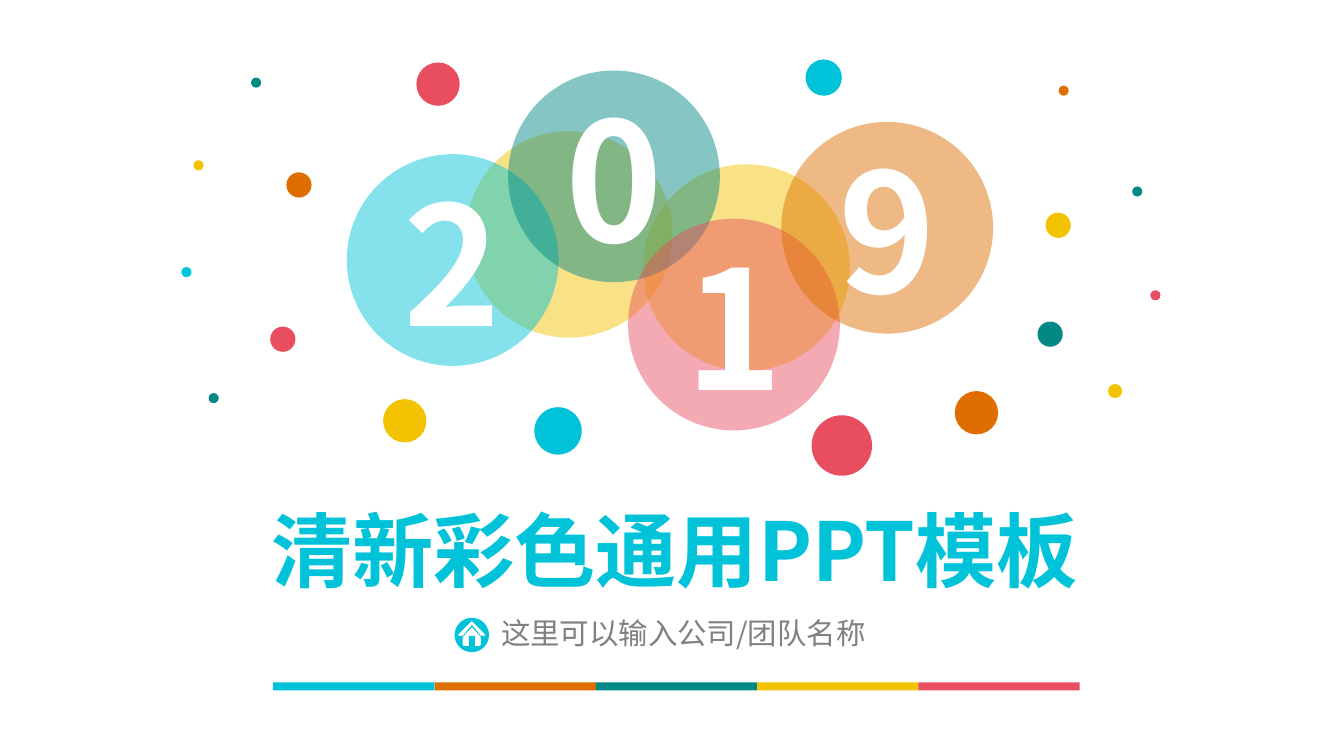
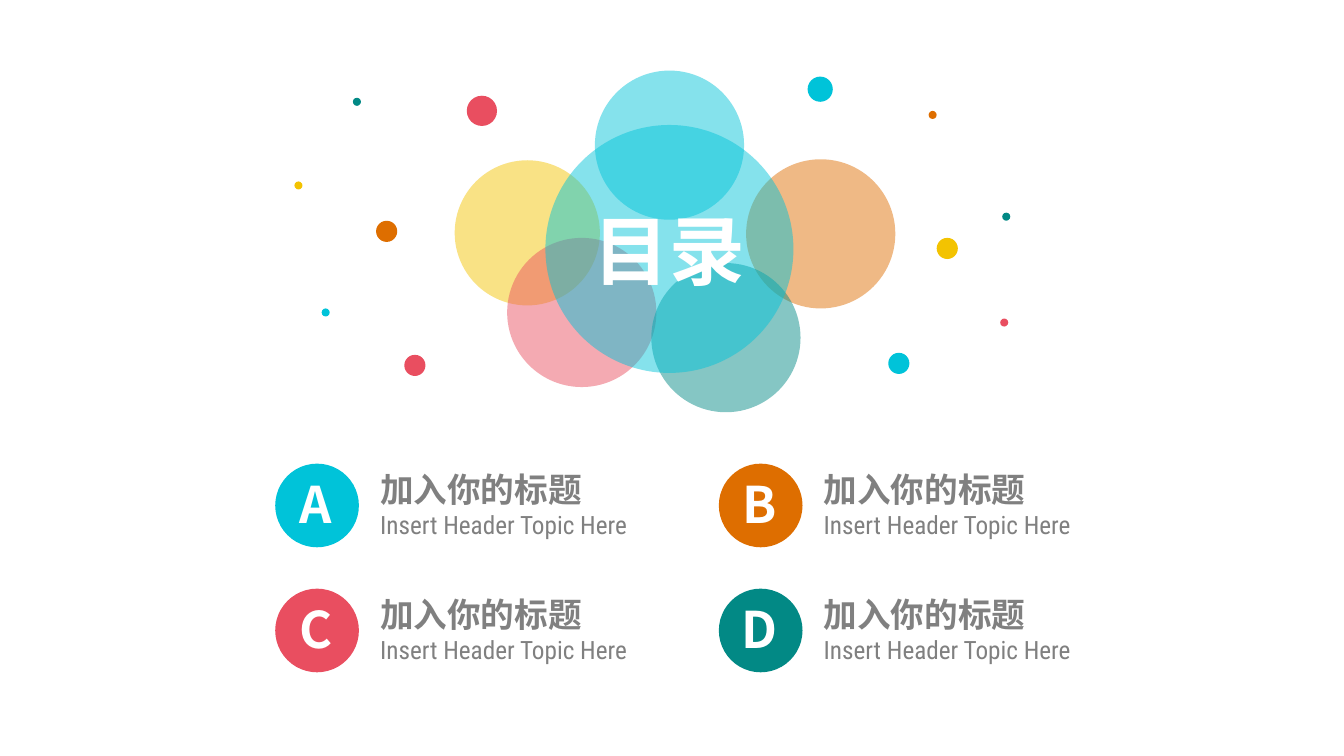
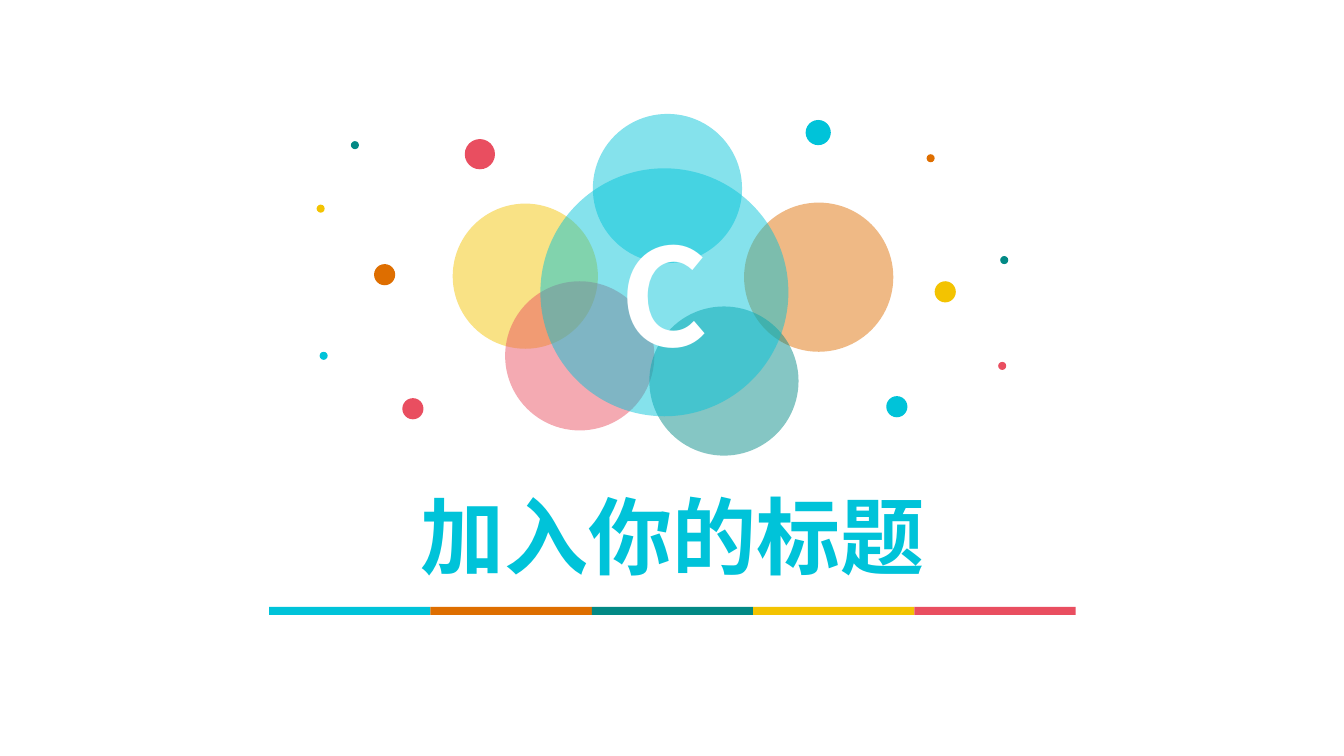
from math import cos, pi, sin

from lxml import etree
from pptx import Presentation
from pptx.dml.color import RGBColor
from pptx.enum.shapes import MSO_SHAPE
from pptx.enum.text import MSO_ANCHOR, MSO_AUTO_SIZE, PP_ALIGN
from pptx.oxml.ns import qn
from pptx.util import Inches, Pt

OVAL = MSO_SHAPE.OVAL
RECTANGLE = MSO_SHAPE.RECTANGLE
MIDDLE = MSO_ANCHOR.MIDDLE
TOP = MSO_ANCHOR.TOP
FIXED_SIZE = MSO_AUTO_SIZE.NONE
CENTER = PP_ALIGN.CENTER
LEFT = PP_ALIGN.LEFT

CYAN = RGBColor(0x00, 0xC3, 0xD9)
ORANGE = RGBColor(0xDE, 0x6E, 0x00)
GREEN = RGBColor(0x02, 0x89, 0x85)
YELLOW = RGBColor(0xF3, 0xC3, 0x01)
RED = RGBColor(0xE9, 0x4E, 0x60)
GRAY = RGBColor(0x80, 0x80, 0x80)
WHITE = RGBColor(0xFF, 0xFF, 0xFF)

MAIN_FONT = "Noto Sans CJK SC"
LATIN_FONT = "Roboto Condensed"
TITLE_LAYOUT = 0
TITLE_ONLY_LAYOUT = 5
BUBBLE_OPACITY = 48

CLUSTER_BUBBLES = [
    (4.51, 1.59, 1.44, YELLOW),
    (5.03, 2.36, 1.48, RED),
    (5.9, 0.7, 1.48, CYAN),
    (7.4, 1.58, 1.48, ORANGE),
    (6.46, 2.61, 1.48, GREEN),
]
CLUSTER_DOTS = [
    (8.01, 0.76, 0.25, CYAN),
    (4.63, 0.95, 0.3, RED),
    (3.73, 2.19, 0.21, ORANGE),
    (3.5, 0.97, 0.08, GREEN),
    (4.01, 3.52, 0.21, RED),
    (3.19, 3.06, 0.08, CYAN),
    (9.29, 2.36, 0.21, YELLOW),
    (9.21, 1.1, 0.08, ORANGE),
    (9.94, 2.11, 0.08, GREEN),
    (8.81, 3.5, 0.21, CYAN),
    (9.92, 3.16, 0.08, RED),
]


def write(paragraph, text, size, color, bold=False, font=MAIN_FONT, align=LEFT):
    paragraph.alignment = align
    paragraph.space_before = Pt(0)
    run = paragraph.add_run()
    run.text = text
    run.font.size = Pt(size)
    run.font.bold = bold
    run.font.color.rgb = color
    run.font.name = font
    run.font.language_id = None
    east_asian = etree.SubElement(run.font._element, qn("a:ea"))
    east_asian.set("typeface", font)


class Deck:
    def __init__(self):
        self.presentation = Presentation()
        self.presentation.slide_width = Inches(13.33)
        self.presentation.slide_height = Inches(7.5)
        self.slide = None

    def add_slide(self, layout):
        layouts = self.presentation.slide_layouts
        self.slide = self.presentation.slides.add_slide(layouts[layout])

    def place(self, shape, left, top, width, height):
        shape.left, shape.top = Inches(left), Inches(top)
        shape.width, shape.height = Inches(width), Inches(height)

    def frame(self, shape, anchor, insets=(0.1, 0.05, 0.1, 0.05)):
        frame = shape.text_frame
        frame.word_wrap = True
        frame.auto_size = FIXED_SIZE
        frame.vertical_anchor = anchor
        (frame.margin_left, frame.margin_top,
         frame.margin_right, frame.margin_bottom) = map(Inches, insets)
        return frame

    def paint(self, shape, color):
        shape.shadow.inherit = False
        shape.fill.solid()
        shape.fill.fore_color.rgb = color
        shape.line.fill.background()

    def block(self, kind, left, top, width, height, color):
        shape = self.slide.shapes.add_shape(
            kind, Inches(left), Inches(top), Inches(width), Inches(height))
        self.paint(shape, color)
        return shape

    def dot(self, left, top, diameter, color):
        return self.block(OVAL, left, top, diameter, diameter, color)

    def bubble(self, left, top, diameter, color, text=None, size=None):
        shape = self.dot(left, top, diameter, color)
        fill_color = shape.element.spPr.find(f"{qn('a:solidFill')}/{qn('a:srgbClr')}")
        alpha = etree.SubElement(fill_color, qn("a:alpha"))
        alpha.set("val", str(BUBBLE_OPACITY * 1000))
        if text:
            frame = self.frame(shape, MIDDLE)
            write(frame.paragraphs[0], text, size, WHITE, bold=True, align=CENTER)

    def title(self, text, left, top, width, height, size, color=CYAN):
        title = self.slide.shapes.title
        self.place(title, left, top, width, height)
        frame = self.frame(title, MIDDLE)
        write(frame.paragraphs[0], text, size, color, bold=True, align=CENTER)
        self.slide.shapes.element.append(title.element)

    def subtitle(self, text, left, top, width, height):
        subtitle = self.slide.placeholders[1]
        self.place(subtitle, left, top, width, height)
        frame = self.frame(subtitle, MIDDLE, (0.07, 0.04, 0.07, 0.04))
        write(frame.paragraphs[0], text, 21, GRAY)

    def text_box(self, left, top, width, height, insets=(0.1, 0.05, 0.1, 0.05)):
        box = self.slide.shapes.add_textbox(
            Inches(left), Inches(top), Inches(width), Inches(height))
        return self.frame(box, TOP, insets)

    def stripe(self, left, top):
        for index, color in enumerate([CYAN, ORANGE, GREEN, YELLOW, RED]):
            self.block(RECTANGLE, left + 1.6 * index, top, 1.6, 0.08, color)

    def cluster(self, shift_x, shift_y):
        for left, top, diameter, color in CLUSTER_BUBBLES:
            self.bubble(left + shift_x, top + shift_y, diameter, color)
        for left, top, diameter, color in CLUSTER_DOTS:
            self.dot(left + shift_x, top + shift_y, diameter, color)

    def home_icon(self, center_x, center_y, radius):
        steps = 60
        disc = [(radius * cos(2 * pi * step / steps), radius * sin(2 * pi * step / steps))
                for step in range(steps)]
        roof = [(0, -0.14), (0.14, 0), (0.12, 0.01), (0.09, 0.01),
                (0, -0.1), (-0.09, 0.01), (-0.12, 0.01), (-0.14, 0)]
        walls = [(0, -0.08), (0.09, 0.02), (0.09, 0.1), (0.08, 0.11), (0.03, 0.11),
                 (0.03, 0.01), (-0.03, 0.01), (-0.03, 0.11), (-0.08, 0.11),
                 (-0.09, 0.1), (-0.09, 0.02)]
        contours = [[(Inches(center_x + x), Inches(center_y + y)) for x, y in outline]
                    for outline in (disc, roof, walls)]
        builder = self.slide.shapes.build_freeform(*contours[0][0])
        for contour in contours:
            builder.move_to(*contour[0])
            builder.add_line_segments(contour[1:], close=True)
        self.paint(builder.convert_to_shape(), CYAN)

    def agenda_item(self, letter, color, left, top):
        self.block(OVAL, left, top, 0.83, 0.83, color)
        badge = self.text_box(left - 0.25, top + 0.04, 1.31, 0.71)
        write(badge.paragraphs[0], letter, 36, WHITE, bold=True, align=CENTER)
        label = self.text_box(left + 1.04, top, 4.34, 0.81, (0, 0.05, 0.1, 0.05))
        write(label.paragraphs[0], "加入你的标题", 24, GRAY, bold=True)
        write(label.add_paragraph(), "Insert Header Topic Here", 18, GRAY, font=LATIN_FONT)


def build_cover(deck):
    deck.add_slide(TITLE_LAYOUT)
    deck.bubble(4.62, 1.3, 2.05, YELLOW)
    deck.bubble(6.38, 1.63, 2.05, YELLOW)
    for digit, left, top, color in [
        ("2", 3.44, 1.53, CYAN),
        ("0", 5.04, 0.7, GREEN),
        ("1", 6.23, 2.17, RED),
        ("9", 7.75, 1.21, ORANGE),
    ]:
        deck.bubble(left, top, 2.1, color, digit, 118)
    for left, top, diameter, color in [
        (7.99, 0.59, 0.36, CYAN),
        (8.05, 4.12, 0.6, RED),
        (4.13, 0.62, 0.43, RED),
        (5.3, 4.04, 0.47, CYAN),
        (2.84, 1.71, 0.25, ORANGE),
        (2.49, 0.77, 0.1, GREEN),
        (1.92, 1.59, 0.1, YELLOW),
        (3.8, 3.96, 0.43, YELLOW),
        (2.68, 3.24, 0.25, RED),
        (1.8, 2.65, 0.1, CYAN),
        (2.07, 3.9, 0.1, GREEN),
        (10.37, 2.11, 0.25, YELLOW),
        (10.5, 0.85, 0.1, ORANGE),
        (11.23, 1.85, 0.1, GREEN),
        (9.47, 3.88, 0.43, ORANGE),
        (10.29, 3.19, 0.25, GREEN),
        (11.41, 2.88, 0.1, RED),
        (10.99, 3.81, 0.14, YELLOW),
    ]:
        deck.dot(left, top, diameter, color)
    deck.home_icon(4.68, 6.3, 0.17)
    deck.subtitle("这里可以输入公司/团队名称", 4.9, 6.14, 4.01, 0.28)
    deck.title("清新彩色通用PPT模板", 1.77, 5.08, 9.84, 0.74, 58)
    deck.stripe(2.71, 6.77)


def build_agenda(deck):
    deck.add_slide(TITLE_ONLY_LAYOUT)
    for index, (letter, color) in enumerate(zip("ABCD", [CYAN, ORANGE, RED, GREEN])):
        row, column = divmod(index, 2)
        deck.agenda_item(letter, color, 2.73 + 4.4 * column, 4.6 + 1.24 * row)
    deck.cluster(0, 0)
    deck.dot(2.92, 1.8, 0.08, YELLOW)
    deck.bubble(5.41, 1.24, 2.46, CYAN)
    deck.title("目录", 5.41, 1.24, 2.46, 2.46, 54, WHITE)


def build_section(deck):
    deck.add_slide(TITLE_ONLY_LAYOUT)
    deck.cluster(-0.02, 0.43)
    deck.dot(3.14, 2.03, 0.08, YELLOW)
    deck.bubble(5.36, 1.67, 2.46, CYAN, "C", 96)
    deck.stripe(2.67, 6.02)
    deck.title("加入你的标题", 1.75, 4.94, 9.84, 0.74, 60)


deck = Deck()
build_cover(deck)
build_agenda(deck)
build_section(deck)
deck.presentation.save("out.pptx")
